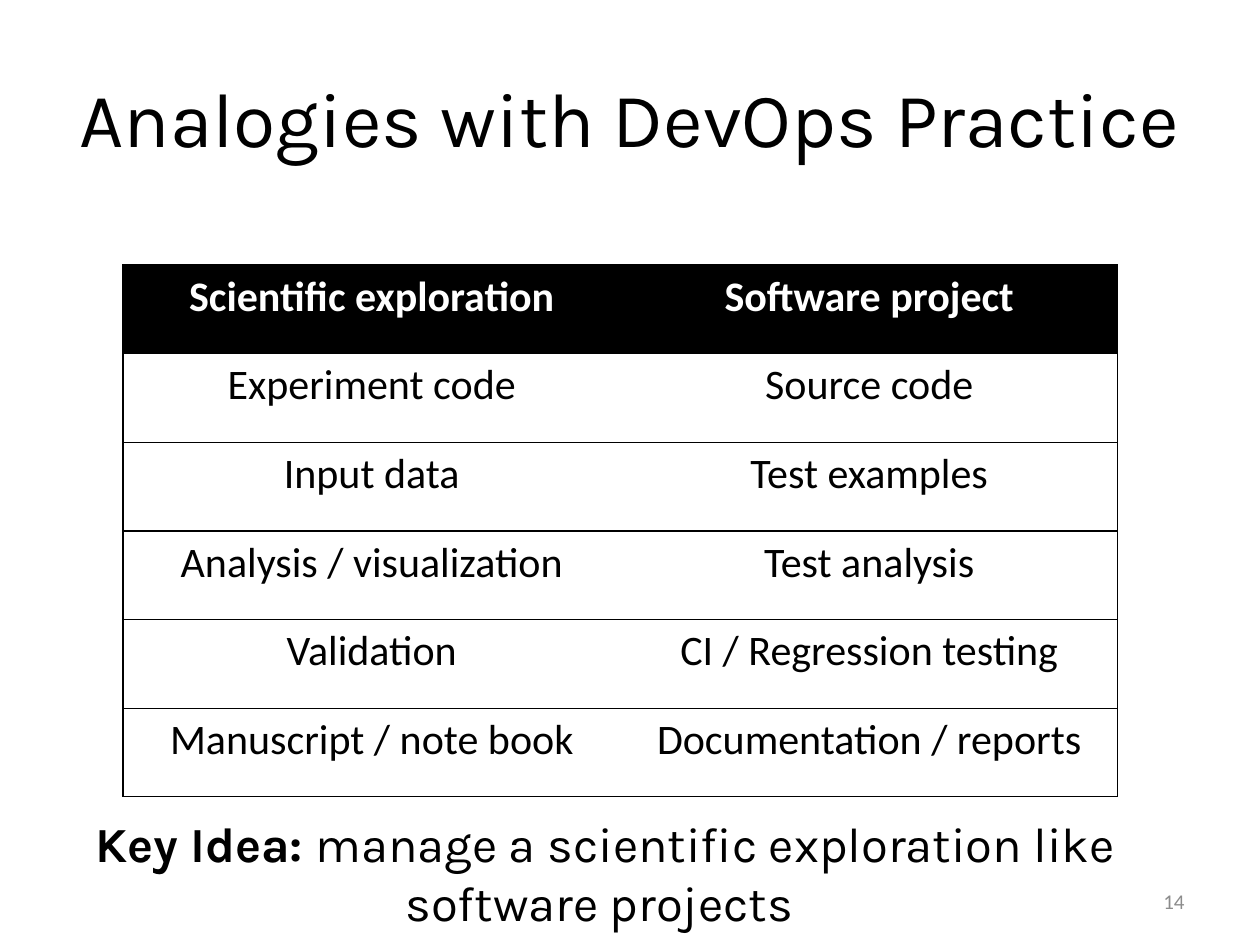
from typing import NamedTuple

from lxml.etree import SubElement
from pptx import Presentation
from pptx.dml.color import RGBColor
from pptx.enum.text import MSO_ANCHOR, PP_ALIGN
from pptx.oxml.ns import qn
from pptx.util import Emu, Pt

EMU_PER_PX = 914400 / 126
BLACK = RGBColor(0x00, 0x00, 0x00)
WHITE = RGBColor(0xFF, 0xFF, 0xFF)
GRAY = RGBColor(0x8C, 0x8C, 0x8C)
HEADING_FONT = "Karla"
BODY_FONT = "Calibri"
PLAIN_TABLE_STYLE = "{2D5ABB26-0587-4C30-8999-92F81FD0307C}"


class Box(NamedTuple):
    left: int
    top: int
    width: int
    height: int


class Analogy(NamedTuple):
    science: str
    software: str


class TextStyle(NamedTuple):
    font: str
    size: int
    color: RGBColor
    align: PP_ALIGN = PP_ALIGN.CENTER


TITLE_BOX = Box(63, 38, 1134, 158)
TABLE_BOX = Box(123, 265, 995, 532)
KEY_IDEA_BOX = Box(38, 793, 1134, 158)
NUMBER_BOX = Box(903, 876, 294, 50)

ANALOGIES = [
    Analogy("Scientific exploration", "Software project"),
    Analogy("Experiment code", "Source code"),
    Analogy("Input data", "Test examples"),
    Analogy("Analysis / visualization", "Test analysis"),
    Analogy("Validation", "CI / Regression testing"),
    Analogy("Manuscript / note book", "Documentation / reports"),
]


def px(length: int) -> Emu:
    return Emu(round(length * EMU_PER_PX))


def place(box: Box) -> list[Emu]:
    return [px(length) for length in box]


def style_paragraph(paragraph, style: TextStyle) -> None:
    paragraph.alignment = style.align
    paragraph.font.name = style.font
    paragraph.font.size = Pt(style.size)
    paragraph.font.color.rgb = style.color


def add_title(slide, text: str) -> None:
    title = slide.shapes.title
    title.left, title.top, title.width, title.height = place(TITLE_BOX)
    title.text_frame.vertical_anchor = MSO_ANCHOR.MIDDLE
    title.text_frame.text = text
    style_paragraph(title.text_frame.paragraphs[0], TextStyle(HEADING_FONT, 44, BLACK))


def add_text(slide, box: Box, style: TextStyle, text: str, bold_lead: str = "") -> None:
    """Add a middle-anchored text box, optionally opening with a bold run."""
    frame = slide.shapes.add_textbox(*place(box)).text_frame
    frame.word_wrap = True
    frame.vertical_anchor = MSO_ANCHOR.MIDDLE
    paragraph = frame.paragraphs[0]
    style_paragraph(paragraph, style)
    if bold_lead:
        lead = paragraph.add_run()
        lead.text = bold_lead
        lead.font.bold = True
    paragraph.add_run().text = text


def add_borders(cell, sides: str) -> None:
    """Draw thin black borders; sides holds letters out of L, R, T, B in that order."""
    properties = cell._tc.get_or_add_tcPr()
    for side in sides:
        line = SubElement(properties, qn(f"a:ln{side}"), w=str(Pt(0.75)))
        fill = SubElement(line, qn("a:solidFill"))
        SubElement(fill, qn("a:srgbClr"), val=str(BLACK))


def add_analogy_table(slide) -> None:
    frame = slide.shapes.add_table(len(ANALOGIES), 2, *place(TABLE_BOX))
    table = frame.table
    table._tbl.tblPr.find(qn("a:tableStyleId")).text = PLAIN_TABLE_STYLE
    table.horz_banding = False
    for row_index, analogy in enumerate(ANALOGIES):
        is_header = row_index == 0
        for column_index, text in enumerate(analogy):
            cell = table.cell(row_index, column_index)
            add_borders(cell, "LTB" if column_index == 0 else "RTB")
            cell.fill.solid()
            cell.fill.fore_color.rgb = BLACK if is_header else WHITE
            cell.text = text
            paragraph = cell.text_frame.paragraphs[0]
            style_paragraph(paragraph, TextStyle(BODY_FONT, 24, WHITE if is_header else BLACK))
            paragraph.font.bold = is_header


def main() -> None:
    presentation = Presentation()
    presentation.slide_width, presentation.slide_height = px(1260), px(945)
    slide = presentation.slides.add_slide(presentation.slide_layouts[5])
    add_title(slide, "Analogies with DevOps Practice")
    add_text(slide, NUMBER_BOX, TextStyle(BODY_FONT, 12, GRAY, PP_ALIGN.RIGHT), "14")
    add_analogy_table(slide)
    add_text(
        slide,
        KEY_IDEA_BOX,
        TextStyle(HEADING_FONT, 28, BLACK),
        "manage a scientific exploration like software projects ",
        bold_lead="Key Idea: ",
    )
    presentation.save("out.pptx")


if __name__ == "__main__":
    main()
